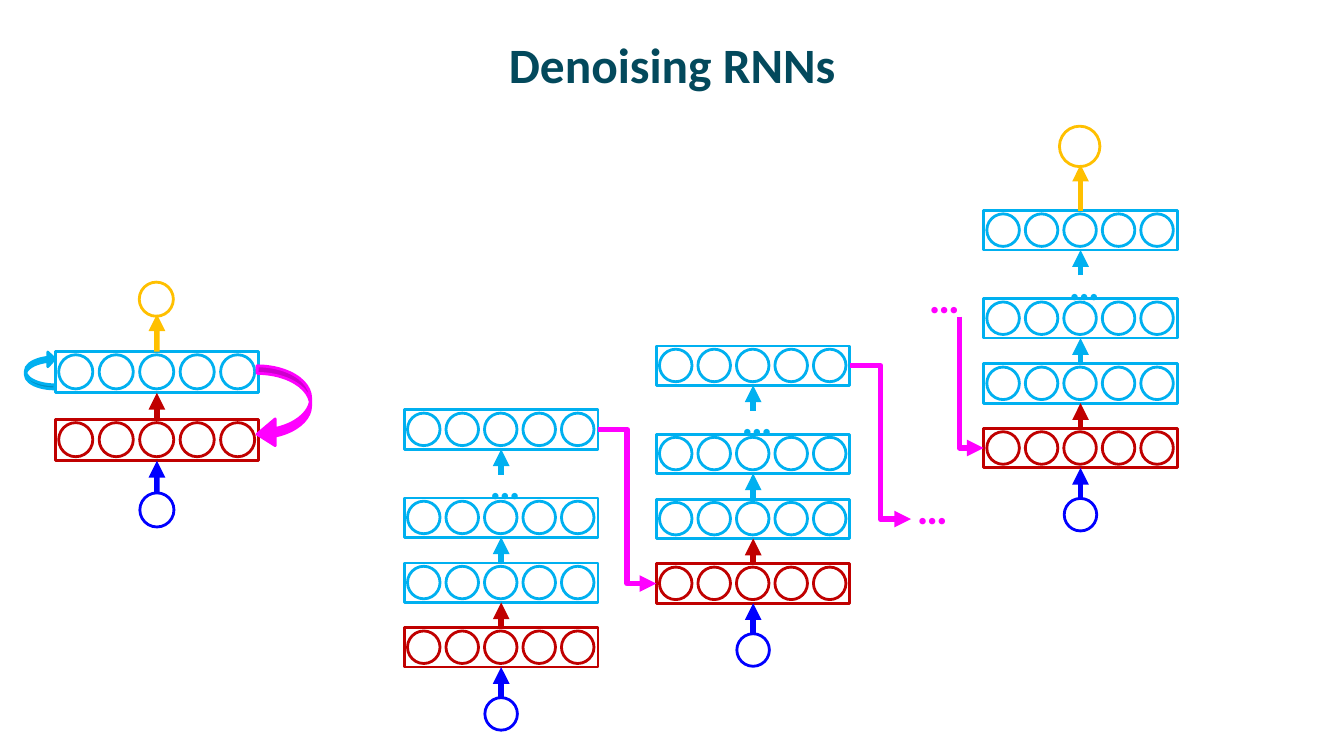
from dataclasses import dataclass

from lxml import etree
from pptx import Presentation
from pptx.dml.color import RGBColor
from pptx.enum.shapes import MSO_CONNECTOR, MSO_SHAPE
from pptx.enum.text import MSO_ANCHOR, MSO_AUTO_SIZE, PP_ALIGN
from pptx.oxml.ns import qn
from pptx.shapes.autoshape import Shape
from pptx.shapes.connector import Connector
from pptx.util import Cm, Pt

RECT, OVAL, CURL = MSO_SHAPE.RECTANGLE, MSO_SHAPE.OVAL, MSO_SHAPE.CURVED_LEFT_ARROW
LINE, ELBOW = MSO_CONNECTOR.STRAIGHT, MSO_CONNECTOR.ELBOW
MIDDLE, CENTER, FIXED = MSO_ANCHOR.MIDDLE, PP_ALIGN.CENTER, MSO_AUTO_SIZE.NONE
TOP, LEFT, BOTTOM, RIGHT = range(4)


@dataclass(frozen=True)
class Theme:
    font: str = "Calibri"
    title: str = "03495C"
    input: str = "0000FF"
    first: str = "C00000"
    hidden: str = "00B0F0"
    output: str = "FFC000"
    loop: str = "FF00FF"
    title_size: float = 35.3
    dots_size: float = 31
    thin: float = 2
    thick: float = 4


@dataclass(frozen=True)
class Size:
    """Measures of one layer, in cm."""
    width: float
    height: float
    unit: float
    pitch: float
    drop: float  # from the first layer down to the input
    inset: float = 0.08


@dataclass(frozen=True)
class Ring:
    left: float
    top: float
    width: float


@dataclass(frozen=True)
class Net:
    left: float
    base: float  # top of the first layer
    size: Size
    rises: tuple[float, ...]  # hidden layers above the base
    output: Ring | None = None


THEME = Theme()
SMALL = Size(5.11, 1.04, 0.86, 1.02, 1.85)
DEEP = Size(4.88, 0.99, 0.82, 0.97, 1.76)
STEPS = (1.63, 3.27, 5.49)
NETS = (
    Net(1.4, 10.57, SMALL, (1.71,), Ring(3.51, 7.11, 0.86)),
    Net(10.19, 15.82, DEEP, STEPS),
    Net(16.54, 14.21, DEEP, STEPS),
    Net(24.79, 10.8, DEEP, STEPS, Ring(26.7, 3.18, 1.02)),
)


def add_shape(shapes, kind: int, left: float, top: float, width: float,
              height: float, color: str, filled: bool = False) -> Shape:
    shape = shapes.add_shape(kind, Cm(left), Cm(top), Cm(width), Cm(height))
    shape.shadow.inherit = False
    if filled:
        shape.fill.solid()
        shape.fill.fore_color.rgb = RGBColor.from_string(color)
    else:
        shape.fill.background()
    shape.line.color.rgb = RGBColor.from_string(color)
    shape.line.width = Pt(THEME.thin)
    return shape


def add_arrow(shapes, kind: int, start: tuple[float, float],
              end: tuple[float, float], color: str) -> Connector:
    arrow = shapes.add_connector(kind, *(Cm(v) for v in start + end))
    arrow.line.color.rgb = RGBColor.from_string(color)
    arrow.line.width = Pt(THEME.thick)
    props = arrow._element.spPr
    etree.SubElement(props.find(qn("a:ln")), qn("a:tailEnd"), type="triangle")
    etree.SubElement(props, qn("a:effectLst"))
    return arrow


def add_dots(shapes, left: float, top: float, color: str) -> None:
    box = shapes.add_textbox(Cm(left), Cm(top), Cm(1.3), Cm(1.57))
    box.text_frame.word_wrap = False
    line = box.text_frame.paragraphs[0]
    line.text = "…"
    line.font.name = THEME.font
    line.font.size = Pt(THEME.dots_size)
    line.font.bold = True
    line.font.color.rgb = RGBColor.from_string(color)


def add_layer(shapes, left: float, top: float, size: Size, color: str) -> Shape:
    for i in range(5):
        add_shape(shapes, OVAL, left + size.inset + i * size.pitch,
                  top + size.inset, size.unit, size.unit, color)
    return add_shape(shapes, RECT, left, top, size.width, size.height, color)


def add_net(shapes, net: Net) -> tuple[Shape, Shape]:
    """Draw a net and return its first and last layers."""
    group = shapes.add_group_shape().shapes
    size, base = net.size, net.base
    mid = net.left + size.width / 2

    # Input and first layer
    source = add_shape(group, OVAL, mid - size.unit / 2, base + size.drop,
                       size.unit, size.unit, THEME.input)
    first = last = add_layer(group, net.left, base, size, THEME.first)
    feed = add_arrow(group, LINE, (mid, base + size.drop),
                     (mid, base + size.height), THEME.input)
    feed.begin_connect(source, TOP)
    feed.end_connect(first, BOTTOM)

    # Hidden layers, with a gap before the third
    below, color = base, THEME.first
    for i, rise in enumerate(net.rises):
        top = base - rise
        layer = add_layer(group, net.left, top, size, THEME.hidden)
        skip = i == 2
        start = base - 3.86 if skip else below
        arrow = add_arrow(group, LINE, (mid, start), (mid, top + size.height), color)
        arrow.end_connect(layer, BOTTOM)
        if skip:
            add_dots(group, net.left + 1.9, base - 4.45, color)
        else:
            arrow.begin_connect(last, TOP)
        last, below, color = layer, top, THEME.hidden

    # Output
    if net.output:
        ring = net.output
        add_shape(group, OVAL, ring.left, ring.top, ring.width, ring.width, THEME.output)
        arrow = add_arrow(group, LINE, (mid, below),
                          (mid, ring.top + ring.width - 0.05), THEME.output)
        arrow.begin_connect(last, TOP)
    return first, last


def turn_down(arrow: Connector, start: tuple[float, float],
              end: tuple[float, float]) -> None:
    """Make an elbow run down, then right."""
    across, down = end[0] - start[0], end[1] - start[1]
    arrow.left = Cm((start[0] + end[0] - down) / 2)
    arrow.top = Cm((start[1] + end[1] - across) / 2)
    arrow.width, arrow.height = Cm(down), Cm(across)
    props = arrow._element.spPr
    frame = props.find(qn("a:xfrm"))
    frame.set("rot", "16200000")
    frame.set("flipH", "1")
    props.find(qn("a:prstGeom")).set("prst", "bentConnector2")


def add_title(title: Shape) -> None:
    title.left, title.top, title.width, title.height = Cm(1.7), Cm(0.43), Cm(30.48), Cm(2.34)
    frame = title.text_frame
    frame.auto_size, frame.vertical_anchor = FIXED, MIDDLE
    line = frame.paragraphs[0]
    line.text = "Denoising RNNs"
    line.alignment = CENTER
    line.font.name = THEME.font
    line.font.size = Pt(THEME.title_size)
    line.font.bold = True
    line.font.color.rgb = RGBColor.from_string(THEME.title)


def main() -> None:
    deck = Presentation()
    deck.slide_width, deck.slide_height = Cm(33.87), Cm(19.05)
    slide = deck.slides.add_slide(deck.slide_layouts[5])
    shapes = slide.shapes
    add_title(shapes.title)
    _, one, two, final = [add_net(shapes, net) for net in NETS]

    # Loops of the small net
    back = add_shape(shapes, CURL, 6.48, 9.22, 1.35, 2.06, THEME.loop, True)
    again = add_shape(shapes, CURL, 0.64, 8.86, 0.74, 0.94, THEME.hidden, True)
    again.rotation = 180
    for curl, head in ((back, 0.339), (again, 0.238)):
        for i, value in enumerate((0.141, 0.5, head)):
            curl.adjustments[i] = value

    # Links from net to net
    link = add_arrow(shapes, ELBOW, (15.07, 10.83), (16.54, 14.71), THEME.loop)
    link.begin_connect(one[1], RIGHT)
    link.end_connect(two[0], LEFT)
    leave = add_arrow(shapes, ELBOW, (21.42, 9.22), (22.96, 13.08), THEME.loop)
    leave.begin_connect(two[1], RIGHT)
    start, end = (24.18, 7.98), (24.79, 11.29)
    enter = add_arrow(shapes, ELBOW, start, end, THEME.loop)
    enter.end_connect(final[0], LEFT)
    turn_down(enter, start, end)
    for left, top in ((22.86, 12.01), (23.16, 6.68)):
        add_dots(shapes, left, top, THEME.loop)

    deck.save("out.pptx")


if __name__ == "__main__":
    main()
